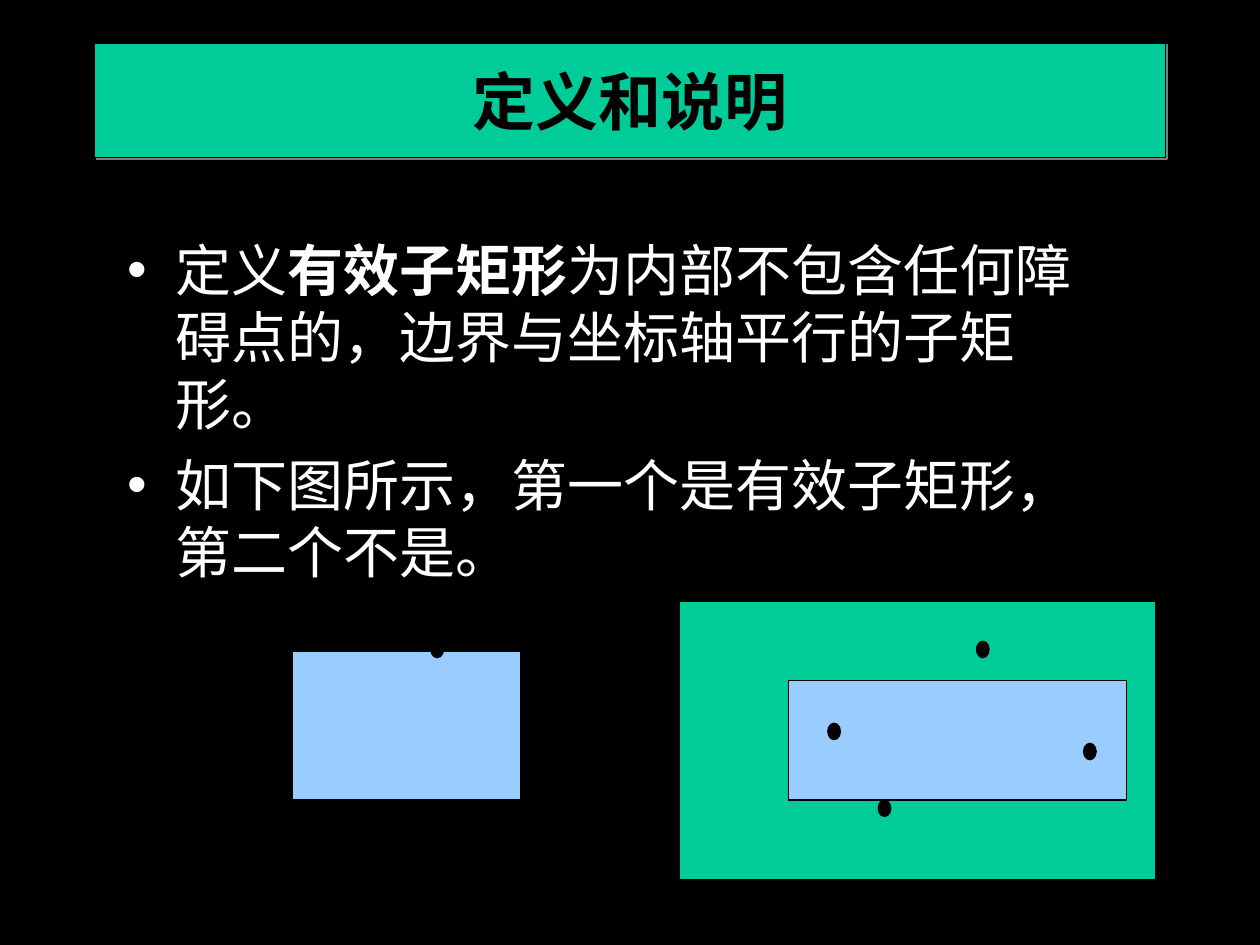
"""Build the slide that defines a valid sub-rectangle."""
import lxml.etree
import pptx
import pptx.dml.color
import pptx.enum.shapes
import pptx.enum.text
import pptx.oxml.ns
import pptx.util

Inches = pptx.util.Inches
Pt = pptx.util.Pt
SHAPES = pptx.enum.shapes.MSO_SHAPE
FONT = "DejaVu Sans"
BLACK, WHITE, GREEN, BLUE, GRAY = "000000", "FFFFFF", "00CC99", "99CCFF", "808080"
DOT_SIZE = (0.1, 0.13)
LEFT_DOTS = [(3.42, 5.09), (4.14, 5.64), (2.64, 6.35)]
RIGHT_DOTS = [(6.57, 5.74), (7.75, 5.09), (8.6, 5.9), (6.97, 6.35)]
BULLETS = [
    [("定义", False), ("有效子矩形", True),
     ("为内部不包含任何障碍点的，边界与坐标轴平行的子矩形。", False)],
    [("如下图所示，第一个是有效子矩形，第二个不是。", False)],
]


def color(value):
    """Return the colour of a hex string."""
    return pptx.dml.color.RGBColor.from_string(value)


def set_values(target, values):
    """Set attributes of an object from a dict."""
    for name, value in values.items():
        setattr(target, name, value)


def add_element(parent, tag, **attributes):
    """Append a drawing element with attributes to a parent."""
    return lxml.etree.SubElement(parent, pptx.oxml.ns.qn(tag), attributes)


def paint(shape, fill):
    """Give a shape a solid fill, a thin black line and no shadow."""
    shape.fill.solid()
    shape.fill.fore_color.rgb = color(fill)
    shape.line.color.rgb = color(BLACK)
    shape.line.width = Pt(0.75)
    shape.shadow.inherit = False


def place(shape, left, top, width, height):
    """Move and size a placeholder."""
    set_values(shape, {"left": Inches(left), "top": Inches(top),
                       "width": Inches(width), "height": Inches(height)})


def set_frame(text_frame, margin_left):
    """Wrap and centre text vertically inside its margins."""
    set_values(text_frame, {
        "word_wrap": True,
        "auto_size": pptx.enum.text.MSO_AUTO_SIZE.NONE,
        "vertical_anchor": pptx.enum.text.MSO_ANCHOR.MIDDLE,
        "margin_left": Inches(margin_left), "margin_right": Inches(0.1),
        "margin_top": Inches(0.05), "margin_bottom": Inches(0.05),
    })


def add_run(paragraph, text, size, text_color, bold):
    """Add a formatted run to a paragraph."""
    run = paragraph.add_run()
    run.text = text
    set_values(run.font, {"name": FONT, "size": Pt(size), "bold": bold})
    run.font.color.rgb = color(text_color)


def add_shadow(shape):
    """Add a hard gray shadow to the lower right."""
    effects = shape._element.spPr.find(pptx.oxml.ns.qn("a:effectLst"))
    shadow = add_element(effects, "a:outerShdw", dist=str(Pt(1.4)),
                         dir="2700000", algn="ctr", rotWithShape="0")
    add_element(shadow, "a:srgbClr", val=GRAY)


def add_bullet(paragraph):
    """Give a paragraph a white bullet, a hanging indent and no hanging punctuation."""
    properties = paragraph._p.get_or_add_pPr()
    properties.set("marL", str(Inches(0.38)))
    properties.set("indent", str(-Inches(0.38)))
    properties.set("hangingPunct", "0")
    bullet_color = add_element(properties, "a:buClr")
    add_element(bullet_color, "a:srgbClr", val=WHITE)
    add_element(properties, "a:buChar", char="•")


def fill_title(shape):
    """Format the title placeholder."""
    place(shape, 0.75, 0.34, 8.5, 0.91)
    paint(shape, GREEN)
    add_shadow(shape)
    set_frame(shape.text_frame, 0.1)
    paragraph = shape.text_frame.paragraphs[0]
    paragraph.alignment = pptx.enum.text.PP_ALIGN.CENTER
    add_run(paragraph, "定义和说明", 36, BLACK, True)


def fill_body(shape):
    """Write the bullet list into the body placeholder."""
    place(shape, 0.83, 1.5, 7.87, 3.51)
    paint(shape, BLACK)
    set_frame(shape.text_frame, 0.18)
    for index, parts in enumerate(BULLETS):
        paragraph = (shape.text_frame.add_paragraph() if index
                     else shape.text_frame.paragraphs[0])
        add_bullet(paragraph)
        paragraph.space_before = Pt(8 if index else 0)
        for text, bold in parts:
            add_run(paragraph, text, 32, WHITE, bold)


def add_painted_shape(slide, kind, position, size, fill):
    """Add a preset shape with a fill."""
    shape = slide.shapes.add_shape(
        kind, *(Inches(value) for value in position + size))
    paint(shape, fill)


def add_dots(slide, positions):
    """Add the obstacle points."""
    for position in positions:
        add_painted_shape(slide, SHAPES.FLOWCHART_CONNECTOR, position, DOT_SIZE, BLACK)


def main():
    """Build and save the presentation."""
    presentation = pptx.Presentation()
    set_values(presentation, {"slide_width": Inches(10), "slide_height": Inches(7.5)})
    slide = presentation.slides.add_slide(presentation.slide_layouts[1])
    slide.background.fill.solid()
    slide.background.fill.fore_color.rgb = color(BLACK)
    fill_title(slide.shapes.title)
    fill_body(slide.placeholders[1])
    add_painted_shape(slide, SHAPES.RECTANGLE, (2.32, 5.17), (1.81, 1.18), BLUE)
    add_dots(slide, LEFT_DOTS)
    add_painted_shape(slide, SHAPES.RECTANGLE, (5.39, 4.77), (3.78, 2.21), GREEN)
    add_painted_shape(slide, SHAPES.RECTANGLE, (6.26, 5.4), (2.68, 0.95), BLUE)
    add_dots(slide, RIGHT_DOTS)
    presentation.save("out.pptx")


if __name__ == "__main__":
    main()
